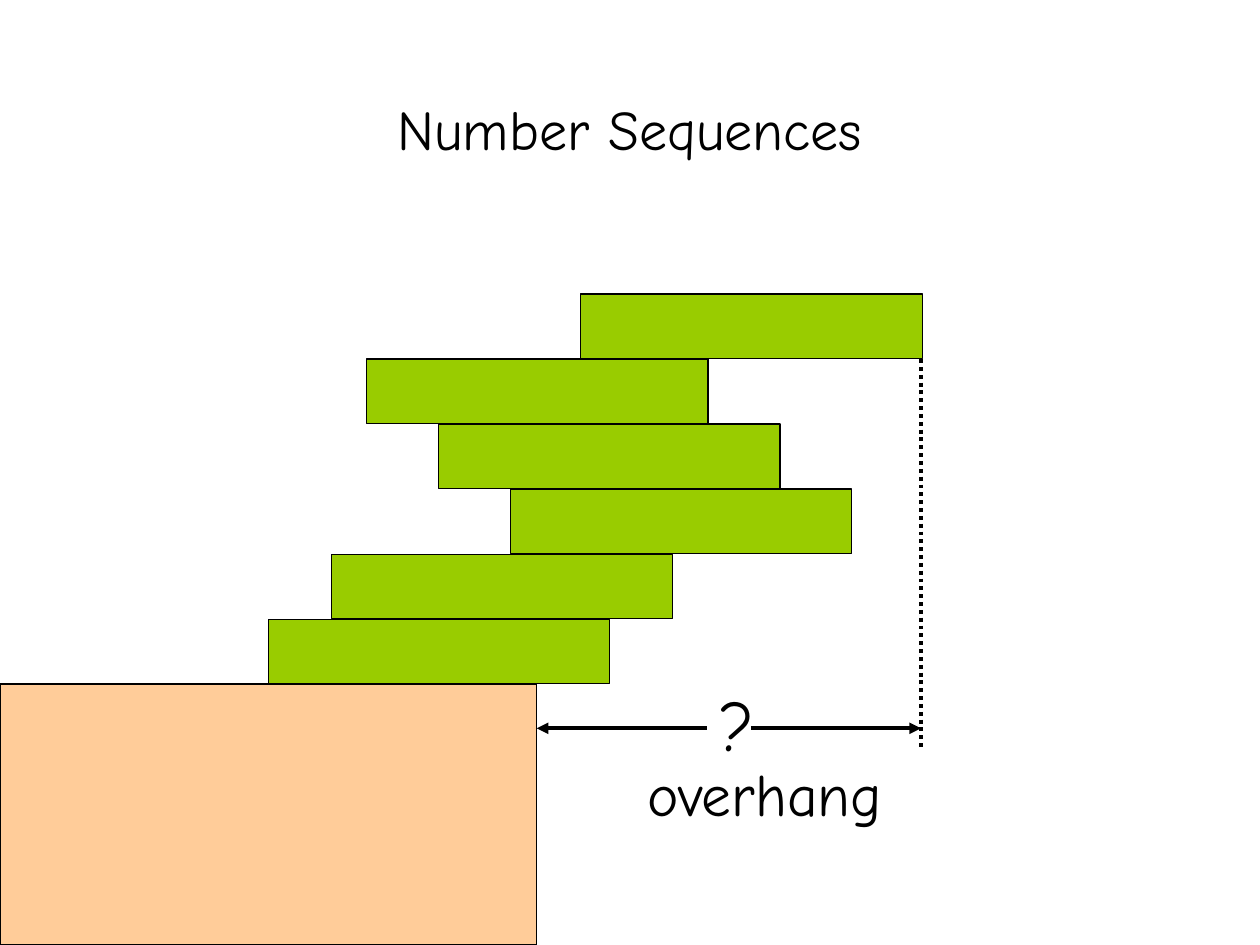
from lxml.etree import SubElement
from pptx import Presentation
from pptx.dml.color import RGBColor
from pptx.enum.dml import MSO_LINE
from pptx.enum.shapes import MSO_CONNECTOR, MSO_SHAPE
from pptx.enum.text import MSO_ANCHOR, PP_ALIGN
from pptx.oxml.ns import qn
from pptx.util import Inches, Pt


def color(value):
    return RGBColor.from_string(value)


prs = Presentation()
prs.slide_width, prs.slide_height = Inches(10), Inches(7.5)
s = prs.slides.add_slide(prs.slide_layouts[6])

block_w, block_h, step = 2.71, 0.51, 0.516
table_top, edge, tip, arrow_y = 5.43, 4.26, 7.31, 5.78

rects = [(0, table_top, edge, 2.07, "FFCC99")]
for i, x in enumerate([2.13, 2.63, 4.05, 3.48, 2.91, 4.61], 1):
    rects.append((x, table_top - i * step, block_w, block_h, "99CC00"))

for x, y, w, h, fill in rects:
    sp = s.shapes.add_shape(MSO_SHAPE.RECTANGLE, Inches(x), Inches(y), Inches(w), Inches(h))
    sp.shadow.inherit = False
    sp.fill.solid()
    sp.fill.fore_color.rgb = color(fill)
    sp.line.color.rgb = color("000000")
    sp.line.width = Pt(0.75)

for x1, y1, x2, y2, arrow in [
    (tip, 2.85, tip, 5.95, False),
    (5.61, arrow_y, edge, arrow_y, True),
    (5.96, arrow_y, tip, arrow_y, True),
]:
    line = s.shapes.add_connector(
        MSO_CONNECTOR.STRAIGHT, Inches(x1), Inches(y1), Inches(x2), Inches(y2))
    line.line.color.rgb = color("000000")
    line.line.width = Pt(2.25)
    if arrow:
        SubElement(line.line._get_or_add_ln(), qn("a:tailEnd"), type="triangle")
    else:
        line.line.dash_style = MSO_LINE.ROUND_DOT
    SubElement(line._element.spPr, qn("a:effectLst"))

for text, x, y, w, h, size, title in [
    ("Number Sequences", 0.75, 0.08, 8.5, 1.61, 32, True),
    ("?", 5.61, 5.36, 0.49, 0.77, 40, False),
    ("overhang", 5.04, 5.96, 2.18, 0.67, 34, False),
]:
    tf = s.shapes.add_textbox(Inches(x), Inches(y), Inches(w), Inches(h)).text_frame
    tf.word_wrap = title
    p = tf.paragraphs[0]
    p.text = text
    p.font.name = "Comic Neue"
    p.font.size = Pt(size)
    p.font.color.rgb = color("000000")
    if title:
        tf.vertical_anchor = MSO_ANCHOR.MIDDLE
        p.alignment = PP_ALIGN.CENTER
        p.line_spacing = 1.5

prs.save("out.pptx")
